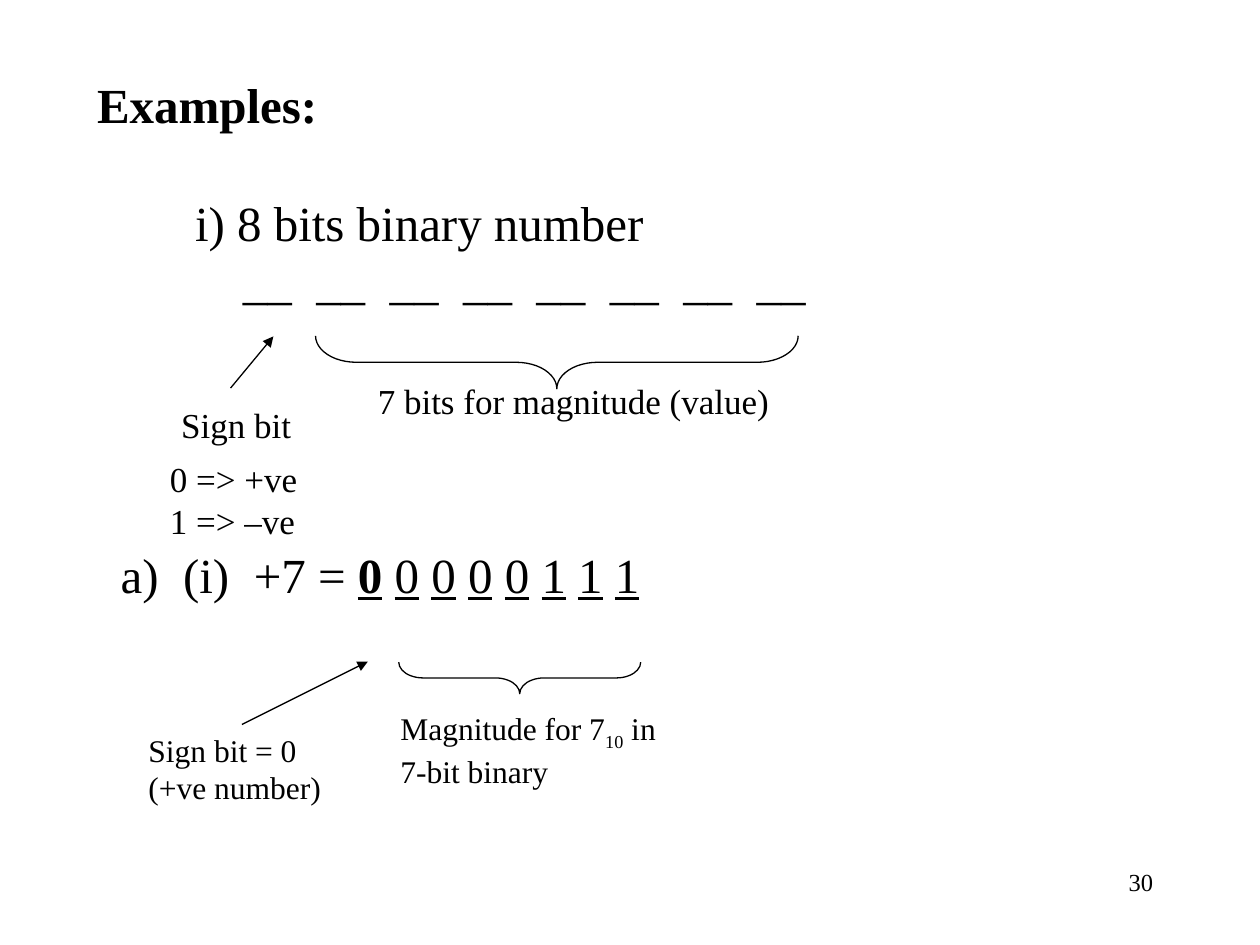
from lxml.etree import SubElement
from pptx import Presentation
from pptx.dml.color import RGBColor
from pptx.enum.shapes import MSO_CONNECTOR, MSO_SHAPE
from pptx.enum.text import MSO_ANCHOR, MSO_AUTO_SIZE, PP_ALIGN
from pptx.oxml.ns import qn
from pptx.util import Inches, Pt

FONT = "Times New Roman"
INK = "000000"

# Content: a paragraph is a list of (text, style letters),
# b = bold, u = underline, s = subscript
TITLE = [[("Examples:", "b")]]
BITS = "00000111"
sign_row = [("a)  (i)  +7 = ", "")]
for i, bit in enumerate(BITS):
    if i:
        sign_row.append((" ", ""))
    sign_row.append((bit, "u" if i else "bu"))

# (left, top, width, height), size, paragraphs
TEXTS = [
    ((1.45, 1.48, 5, 0.55), 28, [[("i) 8 bits binary number", "")]]),
    ((1.83, 1.94, 5.5, 0.55), 28, [[("  ".join(["__"] * len(BITS)), "")]]),
    ((2.9, 2.96, 4, 0.4), 20, [[("7 bits for magnitude (value)", "")]]),
    ((0.86, 4.27, 6, 0.55), 28, [sign_row]),
    ((1.34, 3.15, 1.2, 0.4), 20, [[("Sign bit", "")]]),
    ((1.25, 3.58, 1.33, 0.77), 20, [[("0 => +ve", "")], [("1 => –ve", "")]]),
    ((1.08, 5.75, 1.58, 0.7), 18, [[("Sign bit = 0 (+ve number)", "")]]),
    ((3.08, 5.58, 2.33, 0.74), 18,
     [[("Magnitude for 7", ""), ("10", "s"), (" in 7-bit binary", "")]]),
]
PAGE_NUMBER = ((7.17, 6.83, 2.08, 0.5), 14, [[("30", "")]])
ARROWS = [((1.83, 3.08), (2.17, 2.67)), ((1.92, 5.75), (2.92, 5.25))]
BRACES = [(4.21, 0.96, 0.42, 3.83), (4, 4.42, 0.25, 1.92)]  # before rotation


def color(value):
    return RGBColor.from_string(value)


def write(s, size, paragraphs, align=PP_ALIGN.LEFT):
    tf = s.text_frame
    tf.word_wrap = True
    tf.auto_size = MSO_AUTO_SIZE.NONE
    tf.vertical_anchor = MSO_ANCHOR.TOP
    for i, runs in enumerate(paragraphs):
        p = tf.add_paragraph() if i else tf.paragraphs[0]
        p.alignment = align
        for text, style in runs:
            r = p.add_run()
            r.text = text
            r.font.name = FONT
            r.font.size = Pt(size)
            r.font.color.rgb = color(INK)
            r.font.bold = "b" in style
            r.font.underline = "u" in style
            if "s" in style:
                r.font._element.set("baseline", "-25000")


def add_text(slide, box, size, paragraphs, align=PP_ALIGN.LEFT):
    s = slide.shapes.add_textbox(*map(Inches, box))
    write(s, size, paragraphs, align)


def add_arrow(slide, start, end):
    s = slide.shapes.add_connector(MSO_CONNECTOR.STRAIGHT, *map(Inches, start + end))
    s.line.color.rgb = color(INK)
    s.line.width = Pt(0.75)
    SubElement(s.line._get_or_add_ln(), qn("a:tailEnd"), type="triangle")
    SubElement(s._element.spPr, qn("a:effectLst"))


def add_brace(slide, box):
    s = slide.shapes.add_shape(MSO_SHAPE.LEFT_BRACE, *map(Inches, box))
    s.rotation = 270
    s.adjustments[0] = 0.77
    s.shadow.inherit = False
    s.fill.background()
    s.line.color.rgb = color(INK)
    s.line.width = Pt(0.75)


def main():
    prs = Presentation()
    prs.slide_width, prs.slide_height = Inches(10), Inches(7.5)
    slide = prs.slides.add_slide(prs.slide_layouts[5])

    # Title
    title = slide.shapes.title
    title.left, title.top, title.width, title.height = map(Inches, (0.67, 0.54, 8.83, 0.55))
    write(title, 28, TITLE)

    # Text and page number
    for box, size, paragraphs in TEXTS:
        add_text(slide, box, size, paragraphs)
    add_text(slide, *PAGE_NUMBER, align=PP_ALIGN.RIGHT)

    # Arrows to the sign bits, braces under the magnitude bits
    for start, end in ARROWS:
        add_arrow(slide, start, end)
    for box in BRACES:
        add_brace(slide, box)

    prs.save("out.pptx")


if __name__ == "__main__":
    main()
